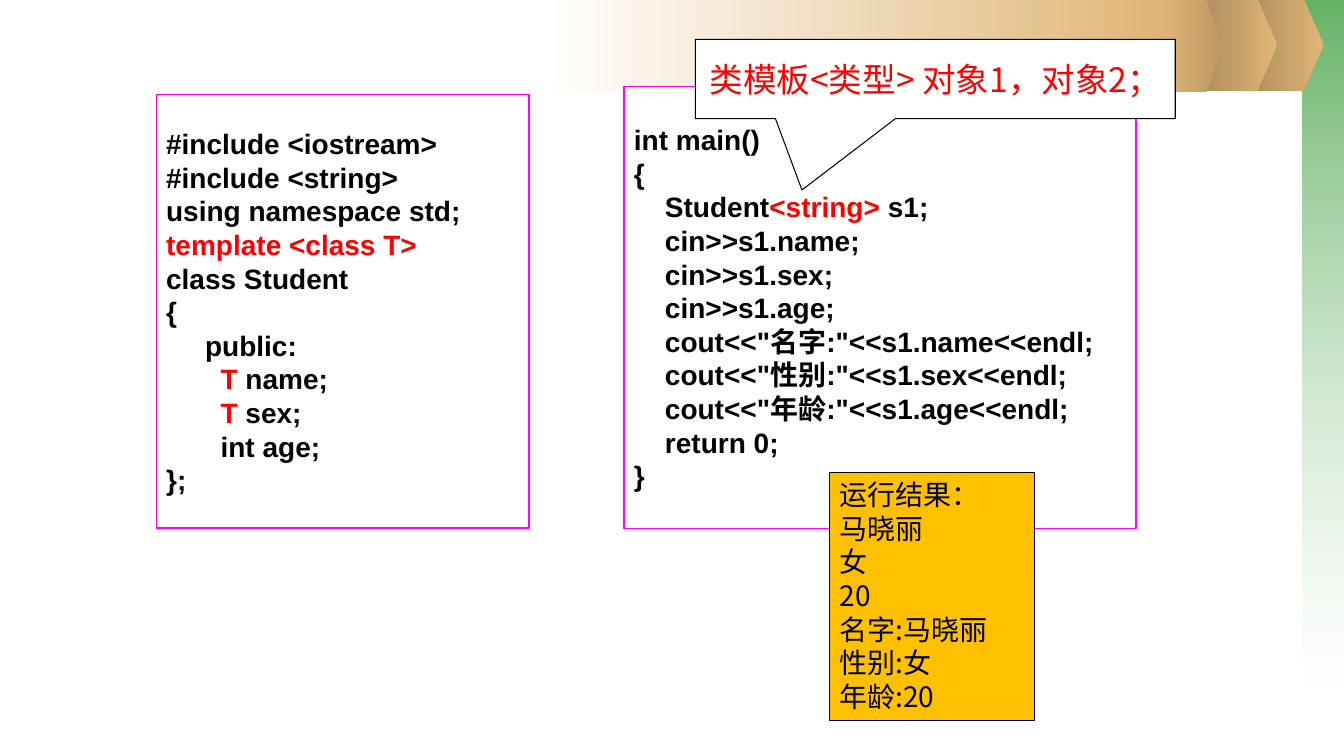
from dataclasses import dataclass

from pptx import Presentation
from pptx.dml.color import RGBColor
from pptx.enum.shapes import MSO_SHAPE
from pptx.enum.text import MSO_ANCHOR, PP_ALIGN
from pptx.oxml import parse_xml
from pptx.oxml.ns import nsdecls, qn
from pptx.util import Pt

RECT = MSO_SHAPE.RECTANGLE
ARROW = MSO_SHAPE.PENTAGON
CALLOUT = MSO_SHAPE.RECTANGULAR_CALLOUT
TOP, MIDDLE = MSO_ANCHOR.TOP, MSO_ANCHOR.MIDDLE
LEFT, CENTER = PP_ALIGN.LEFT, PP_ALIGN.CENTER


@dataclass
class Theme:
    white: str = "FFFFFF"
    black: str = "000000"
    red: str = "FF0000"
    pink: str = "FF00FF"
    amber: str = "FFC000"
    green: str = "339933"
    sand: str = "E0B678"
    tan: str = "BD9965"
    brown: str = "AB8B5C"
    code: str = "Arial"
    hans: str = "Noto Sans CJK SC"
    body: int = 20
    large: int = 24


def rgb(value):
    return RGBColor.from_string(value)


def write(frame, lines, *, size, font, hans, color, accent,
          bold=False, align=LEFT, pitch=24):
    """Lines are (indent, text); text between bars takes the accent colour."""
    for i, (indent, text) in enumerate(lines):
        para = frame.paragraphs[0] if i == 0 else frame.add_paragraph()
        para.alignment = align
        para.line_spacing = Pt(pitch)
        para._p.get_or_add_pPr().set("marL", str(Pt(indent)))
        for j, part in enumerate(text.split("|")):
            if not part:
                continue
            run = para.add_run()
            run.text = part
            run.font.size = Pt(size)
            run.font.bold = bold
            run.font.name = font
            run.font.color.rgb = rgb(accent if j % 2 else color)
            run._r.rPr.append(parse_xml(
                f'<a:ea {nsdecls("a")} typeface="{hans}"/>'))


class Board:
    def __init__(self, slide, theme):
        self.slide = slide
        self.theme = theme

    def shape(self, kind, box, adjust=()):
        item = self.slide.shapes.add_shape(kind, *map(Pt, box))
        item.shadow.inherit = False
        for i, value in enumerate(adjust):
            item.adjustments[i] = value
        return item

    def fade(self, kind, box, colors, angle=0, alphas=(), adjust=()):
        item = self.shape(kind, box, adjust)
        item.line.fill.background()
        item.fill.gradient()
        item.fill.gradient_angle = angle
        for stop, color in zip(item.fill.gradient_stops, colors):
            stop.color.rgb = rgb(color)
        tags = item._element.spPr.iter(qn("a:srgbClr"))
        for tag, alpha in zip(tags, alphas):
            tag.append(parse_xml(
                f'<a:alpha {nsdecls("a")} val="{alpha * 1000}"/>'))

    def panel(self, box, lines, *, fill, edge, width=1, kind=RECT,
              adjust=(), anchor=MIDDLE, **style):
        item = self.shape(kind, box, adjust)
        item.fill.solid()
        item.fill.fore_color.rgb = rgb(fill)
        item.line.color.rgb = rgb(edge)
        item.line.width = Pt(width)
        frame = item.text_frame
        frame.word_wrap = True
        frame.vertical_anchor = anchor
        look = dict(size=self.theme.body, font=self.theme.hans,
                    hans=self.theme.hans, color=self.theme.black,
                    accent=self.theme.red)
        write(frame, lines, **{**look, **style})

    def code(self, box, lines):
        self.panel(box, lines, fill=self.theme.white, edge=self.theme.pink,
                   font=self.theme.code, bold=True)


def main():
    deck = Presentation()
    deck.slide_width, deck.slide_height = Pt(960), Pt(540)
    look = Theme()
    board = Board(deck.slides.add_slide(deck.slide_layouts[6]), look)

    # Side band and top ribbon
    board.fade(RECT, (930.2, 0, 29.8, 487.4), (look.green, look.white),
               angle=270, alphas=(75, 37))
    for left in (888.5, 855.4):
        board.fade(ARROW, (left, -0.7, 56.9, 65.5),
                   (look.brown, look.sand), adjust=[0.25])
    board.fade(RECT, (385.9, 0, 442.1, 65.5), (look.white, look.sand))
    board.fade(ARROW, (828, 0, 44.6, 65.5), (look.sand, look.tan),
               adjust=[0.25])

    # Class template
    board.code((111.6, 67.7, 266.4, 309.6), [
        (0, "#include <iostream>"),
        (0, "#include <string>"),
        (0, "using namespace std;"),
        (0, "|template <class T>|"),
        (0, "class Student"),
        (0, "{"),
        (27.8, "public:"),
        (38.9, "|T| name;"),
        (38.9, "|T| sex;"),
        (38.9, "int age;"),
        (0, "};"),
    ])

    # Main program
    steps = [
        "Student|<string> |s1;",
        "cin>>s1.name;",
        "cin>>s1.sex;",
        "cin>>s1.age;",
        'cout<<"名字:"<<s1.name<<endl;',
        'cout<<"性别:"<<s1.sex<<endl;',
        'cout<<"年龄:"<<s1.age<<endl;',
        "return 0;",
    ]
    board.code((445.7, 61.9, 365.8, 315.4),
               [(0, "int main()"), (0, "{")]
               + [(22.2, step) for step in steps] + [(0, "}")])

    # Syntax callout
    board.panel((496.8, 28.1, 342.7, 56.7),
                [(0, "类模板<类型> 对象1，对象2；")],
                fill=look.white, edge=look.black, width=0.75, kind=CALLOUT,
                adjust=(-0.278, 1.399), size=look.large, color=look.red,
                align=CENTER, pitch=28.6)

    # Program output
    output = ["运行结果：", "马晓丽", "女", "20",
              "名字:马晓丽", "性别:女", "年龄:20"]
    board.panel((592.6, 337.7, 146.2, 177.1), [(0, row) for row in output],
                fill=look.amber, edge=look.black, anchor=TOP)

    deck.save("out.pptx")


if __name__ == "__main__":
    main()
